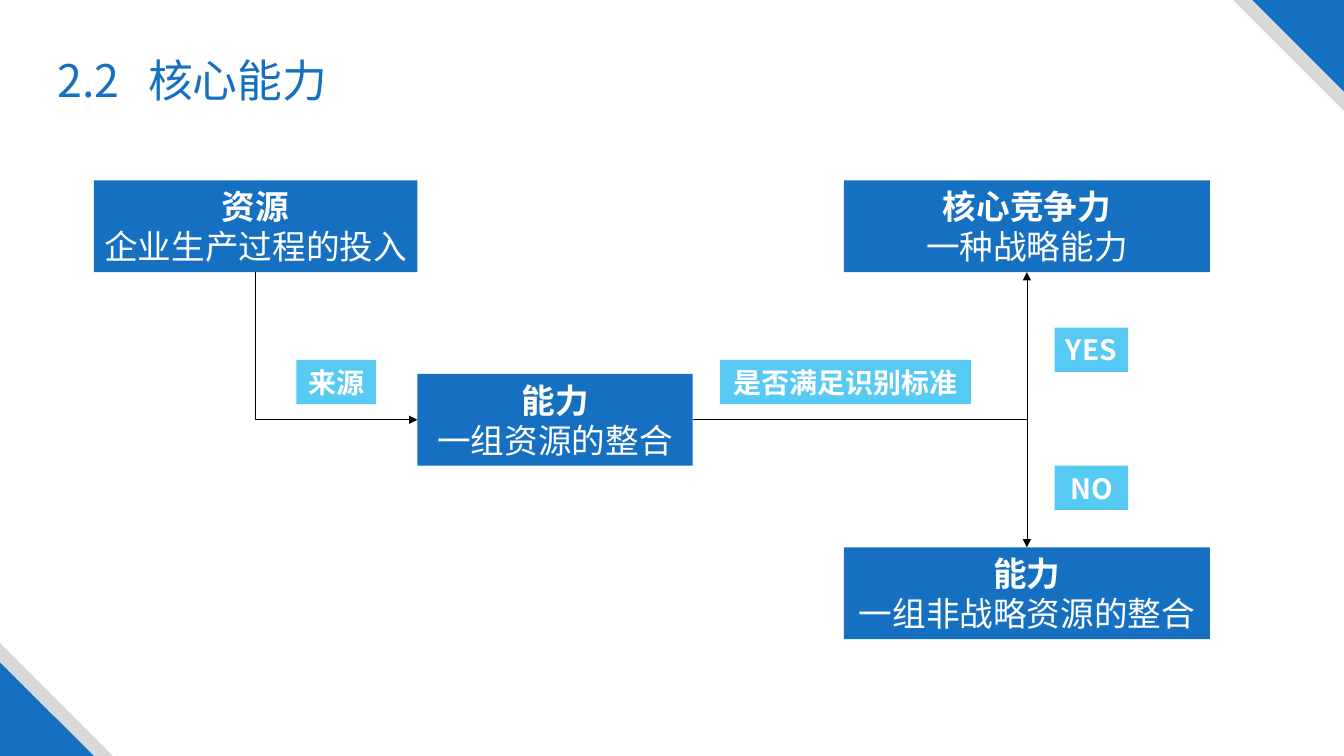
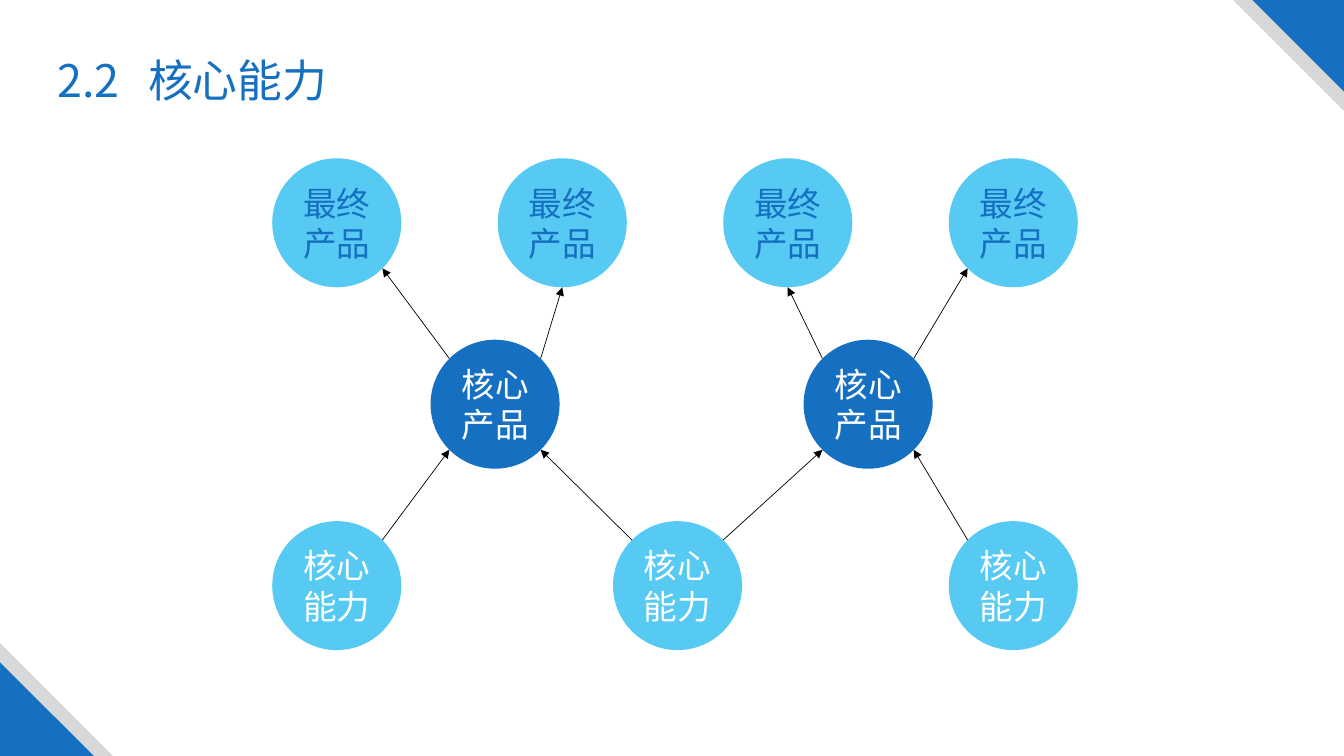
from dataclasses import dataclass
from math import sqrt

from lxml import etree
from pptx import Presentation
from pptx.dml.color import RGBColor
from pptx.enum.shapes import MSO_CONNECTOR, MSO_SHAPE
from pptx.enum.text import MSO_ANCHOR, PP_ALIGN
from pptx.oxml.ns import qn
from pptx.util import Inches, Pt

RECT, OVAL, TRIANGLE = MSO_SHAPE.RECTANGLE, MSO_SHAPE.OVAL, MSO_SHAPE.RIGHT_TRIANGLE
STRAIGHT, ELBOW = MSO_CONNECTOR.STRAIGHT, MSO_CONNECTOR.ELBOW
MIDDLE, CENTER = MSO_ANCHOR.MIDDLE, PP_ALIGN.CENTER


@dataclass(frozen=True)
class Theme:
    font: str = "Noto Sans CJK SC"
    blue: str = "1570C1"
    sky: str = "57CAF4"
    grey: str = "D7D8D8"
    white: str = "FFFFFF"
    black: str = "000000"
    title_size: int = 32
    body_size: int = 24
    label_size: int = 20
    line_width: float = 0.5


THEME = Theme()
WIDTH, HEIGHT = 13.33, 7.5

TITLE = "2.2\t核心能力"
TITLE_TAB = 0.9
# Corner triangles: size at top right, size at bottom left, colour
CORNERS = [(1.1, 1.12, THEME.grey), (0.91, 0.93, THEME.blue)]

# Flow boxes: key -> left, top, width, heading, description
BOX_HEIGHT = 0.91
BOXES = {
    "resource": (0.93, 1.79, 3.21, "资源", "企业生产过程的投入"),
    "core": (8.37, 1.79, 3.63, "核心竞争力", "一种战略能力"),
    "ordinary": (8.37, 5.43, 3.63, "能力", "一组非战略资源的整合"),
    "ability": (4.14, 3.71, 2.73, "能力", "一组资源的整合"),
}
LABEL_HEIGHT = 0.44
LABELS = [
    (2.94, 3.57, 0.79, "来源"),
    (7.14, 3.57, 2.49, "是否满足识别标准"),
    (10.46, 3.25, 0.73, "YES"),
    (10.46, 4.62, 0.73, "NO"),
]
# Elbows leave sideways: start box, side, end box, side, arrow end
FLOW_LINKS = [
    ("ability", "left", "resource", "bottom", "headEnd"),
    ("ability", "right", "core", "bottom", "tailEnd"),
    ("ability", "right", "ordinary", "top", "tailEnd"),
]

# Circle rows: key -> top, lefts, text, fill, text colour
DIAMETER = 1.28
FIRST, LAST = 2.7, 9.41
CIRCLE_ROWS = {
    "final": (1.57, [FIRST + i * (LAST - FIRST) / 3 for i in range(4)],
              "最终产品", THEME.sky, THEME.blue),
    "product": (3.37, [4.27, 7.97], "核心产品", THEME.blue, THEME.white),
    "ability": (5.17, [FIRST, 6.08, LAST], "核心能力", THEME.sky, THEME.white),
}
CIRCLE_LINKS = [
    (("ability", 0), "top right", ("product", 0), "bottom left"),
    (("ability", 1), "top left", ("product", 0), "bottom right"),
    (("ability", 1), "top right", ("product", 1), "bottom left"),
    (("ability", 2), "top left", ("product", 1), "bottom right"),
    (("product", 0), "top left", ("final", 0), "bottom right"),
    (("product", 0), "top right", ("final", 1), "bottom"),
    (("product", 1), "top left", ("final", 2), "bottom"),
    (("product", 1), "top right", ("final", 3), "bottom left"),
]

# Connection sites: name -> index, x and y as shares of the shape's size
NEAR = (1 - sqrt(0.5)) / 2
FAR = 1 - NEAR
SITES = {
    RECT: {"top": (0, 0.5, 0), "left": (1, 0, 0.5),
           "bottom": (2, 0.5, 1), "right": (3, 1, 0.5)},
    OVAL: {"top left": (1, NEAR, NEAR), "bottom left": (3, NEAR, FAR),
           "bottom": (4, 0.5, 1), "bottom right": (5, FAR, FAR),
           "top right": (7, FAR, NEAR)},
}


def style(p, size, color, bold=False):
    f = p.font
    f.size, f.bold, f.name = Pt(size), bold, THEME.font
    f.color.rgb = RGBColor.from_string(color)
    # East Asian text takes its own font element
    def_rpr = p._p.pPr.find(qn("a:defRPr"))
    etree.SubElement(def_rpr, qn("a:ea"), typeface=THEME.font)


def add_shape(slide, kind, left, top, width, height, fill):
    sp = slide.shapes.add_shape(kind, Inches(left), Inches(top),
                                Inches(width), Inches(height))
    sp.shadow.inherit = False
    sp.fill.solid()
    sp.fill.fore_color.rgb = RGBColor.from_string(fill)
    sp.line.fill.background()
    return sp


def write(sp, lines, size, color, wrap=False):
    """Fill a shape with centred lines, each given as (text, bold)."""
    tf = sp.text_frame
    tf.word_wrap = wrap
    tf.vertical_anchor = MIDDLE
    for i, (text, bold) in enumerate(lines):
        p = tf.add_paragraph() if i else tf.paragraphs[0]
        p.text = text
        p.alignment = CENTER
        style(p, size, color, bold)


def link(slide, kind, start, start_site, end, end_site, arrow="tailEnd"):
    """Join two shapes at named sites, with an arrowhead at one end."""
    ends = []
    for sp, site in ((start, start_site), (end, end_site)):
        index, x, y = SITES[sp.auto_shape_type][site]
        ends.append((sp, index, int(sp.left + x * sp.width),
                     int(sp.top + y * sp.height)))
    line = slide.shapes.add_connector(kind, *ends[0][2:], *ends[1][2:])
    line.line.width = Pt(THEME.line_width)
    line.line.color.rgb = RGBColor.from_string(THEME.black)
    sp_pr = line.element.spPr
    if kind == ELBOW:
        sp_pr.find(qn("a:prstGeom")).set("prst", "bentConnector2")
    etree.SubElement(sp_pr.find(qn("a:ln")), qn(f"a:{arrow}"), type="triangle")
    etree.SubElement(sp_pr, qn("a:effectLst"))
    joints = line.element.find(".//" + qn("p:cNvCxnSpPr"))
    for tag, (sp, index, _, _) in zip(("a:stCxn", "a:endCxn"), ends):
        etree.SubElement(joints, qn(tag), id=str(sp.shape_id), idx=str(index))


def new_slide(prs):
    """Add a slide with the corner triangles and the title."""
    slide = prs.slides.add_slide(prs.slide_layouts[6])
    for upper, lower, color in CORNERS:
        sp = add_shape(slide, TRIANGLE, WIDTH - upper, 0, upper, upper, color)
        sp.rotation = 180
        add_shape(slide, TRIANGLE, 0, HEIGHT - lower, lower, lower, color)
    box = slide.shapes.add_textbox(Inches(0.47), Inches(0.47),
                                   Inches(5.92), Inches(0.64))
    box.text_frame.word_wrap = True
    p = box.text_frame.paragraphs[0]
    p.text = TITLE
    tabs = etree.SubElement(p._p.get_or_add_pPr(), qn("a:tabLst"))
    etree.SubElement(tabs, qn("a:tab"), pos=str(Inches(TITLE_TAB)), algn="l")
    style(p, THEME.title_size, THEME.blue)
    return slide


def add_flow_slide(prs):
    slide = new_slide(prs)
    boxes = {}
    for key, (left, top, width, heading, description) in BOXES.items():
        sp = add_shape(slide, RECT, left, top, width, BOX_HEIGHT, THEME.blue)
        write(sp, [(heading, True), (description, False)],
              THEME.body_size, THEME.white)
        boxes[key] = sp
    for start, start_site, end, end_site, arrow in FLOW_LINKS:
        link(slide, ELBOW, boxes[start], start_site, boxes[end], end_site, arrow)
    for left, top, width, text in LABELS:
        sp = add_shape(slide, RECT, left, top, width, LABEL_HEIGHT, THEME.sky)
        write(sp, [(text, True)], THEME.label_size, THEME.white)


def add_product_slide(prs):
    slide = new_slide(prs)
    circles = {}
    for key, (top, lefts, text, fill, color) in CIRCLE_ROWS.items():
        for i, left in enumerate(lefts):
            sp = add_shape(slide, OVAL, left, top, DIAMETER, DIAMETER, fill)
            write(sp, [(text, False)], THEME.body_size, color, wrap=True)
            circles[key, i] = sp
    for start, start_site, end, end_site in CIRCLE_LINKS:
        link(slide, STRAIGHT, circles[start], start_site, circles[end], end_site)


def main():
    prs = Presentation()
    prs.slide_width, prs.slide_height = Inches(WIDTH), Inches(HEIGHT)
    add_flow_slide(prs)
    add_product_slide(prs)
    prs.save("out.pptx")


if __name__ == "__main__":
    main()
